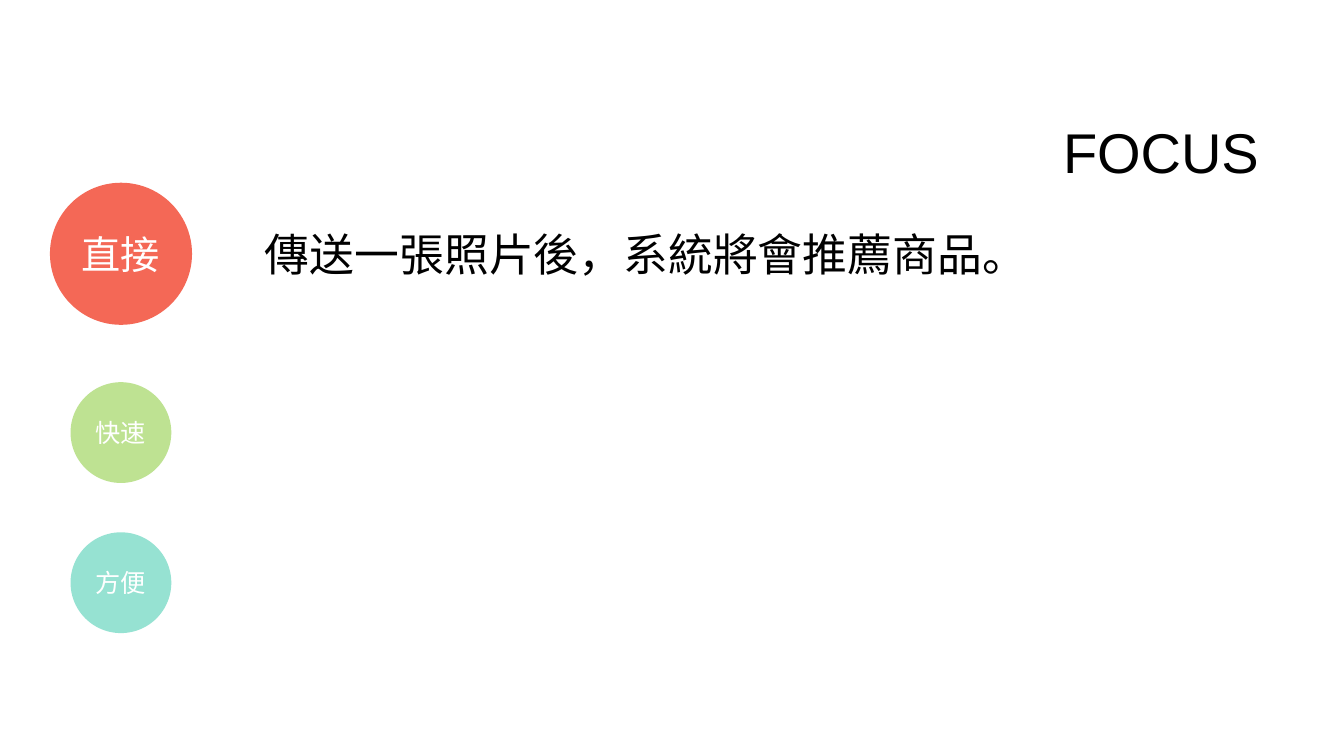
import pptx
import pptx.util
import pptx.dml.color
import pptx.enum.shapes
import pptx.enum.text
import pptx.oxml.ns
import lxml.etree

Pt = pptx.util.Pt
ALIGN = pptx.enum.text.PP_ALIGN
MIDDLE = pptx.enum.text.MSO_ANCHOR.MIDDLE

# Content
TITLE = "FOCUS"
CLAIM = "傳送一張照片後，系統將會推薦商品。"
COLORS = {"red": "F46856", "green": "BEE292", "teal": "96E2D2",
          "white": "FFFFFF", "black": "000000"}
LATIN, HAN = "Arial", "Noto Sans CJK TC"
# Label, fill, centre y, diameter, text size
DOTS = [
    ("快速", "green", 309, 72, 18),
    ("方便", "teal", 416.25, 72, 18),
    ("直接", "red", 181.25, 101.5, 28),
]
DOT_X = 86.4  # shared centre of the circles


def color(name):
    return pptx.dml.color.RGBColor.from_string(COLORS[name])


def write(frame, text, size, font, tint, align):
    frame.text = text
    para = frame.paragraphs[0]
    para.alignment = align
    run = para.runs[0]
    run.font.size = Pt(size)
    run.font.name = font
    run.font.color.rgb = color(tint)
    # East Asian glyphs take their own typeface
    east = lxml.etree.SubElement(run.font._element, pptx.oxml.ns.qn("a:ea"))
    east.set("typeface", font)


def place(shape, left, top, width, height):
    shape.left, shape.top = Pt(left), Pt(top)
    shape.width, shape.height = Pt(width), Pt(height)


def main():
    deck = pptx.Presentation()
    deck.slide_width, deck.slide_height = Pt(960), Pt(540)
    slide = deck.slides.add_slide(deck.slide_layouts[5])

    # Claim beside the large circle
    box = slide.shapes.add_textbox(Pt(182.2), Pt(158.4), Pt(563.8), Pt(46))
    box.text_frame.word_wrap = False
    write(box.text_frame, CLAIM, 32, HAN, "black", ALIGN.LEFT)

    # Title
    title = slide.shapes.title
    place(title, 228.2, 60.5, 678.2, 101.5)
    title.text_frame.vertical_anchor = MIDDLE
    write(title.text_frame, TITLE, 40, LATIN, "black", ALIGN.RIGHT)
    title.text_frame.paragraphs[0].line_spacing = 0.9

    # Circles on one vertical axis
    for label, fill, mid, size, font in DOTS:
        dot = slide.shapes.add_shape(
            pptx.enum.shapes.MSO_SHAPE.OVAL,
            Pt(DOT_X - size / 2), Pt(mid - size / 2), Pt(size), Pt(size))
        dot.shadow.inherit = False
        dot.fill.solid()
        dot.fill.fore_color.rgb = color(fill)
        dot.line.fill.background()
        frame = dot.text_frame
        frame.margin_left = frame.margin_right = 0
        frame.vertical_anchor = MIDDLE
        write(frame, label, font, HAN, "white", ALIGN.CENTER)

    deck.save("out.pptx")


if __name__ == "__main__":
    main()
